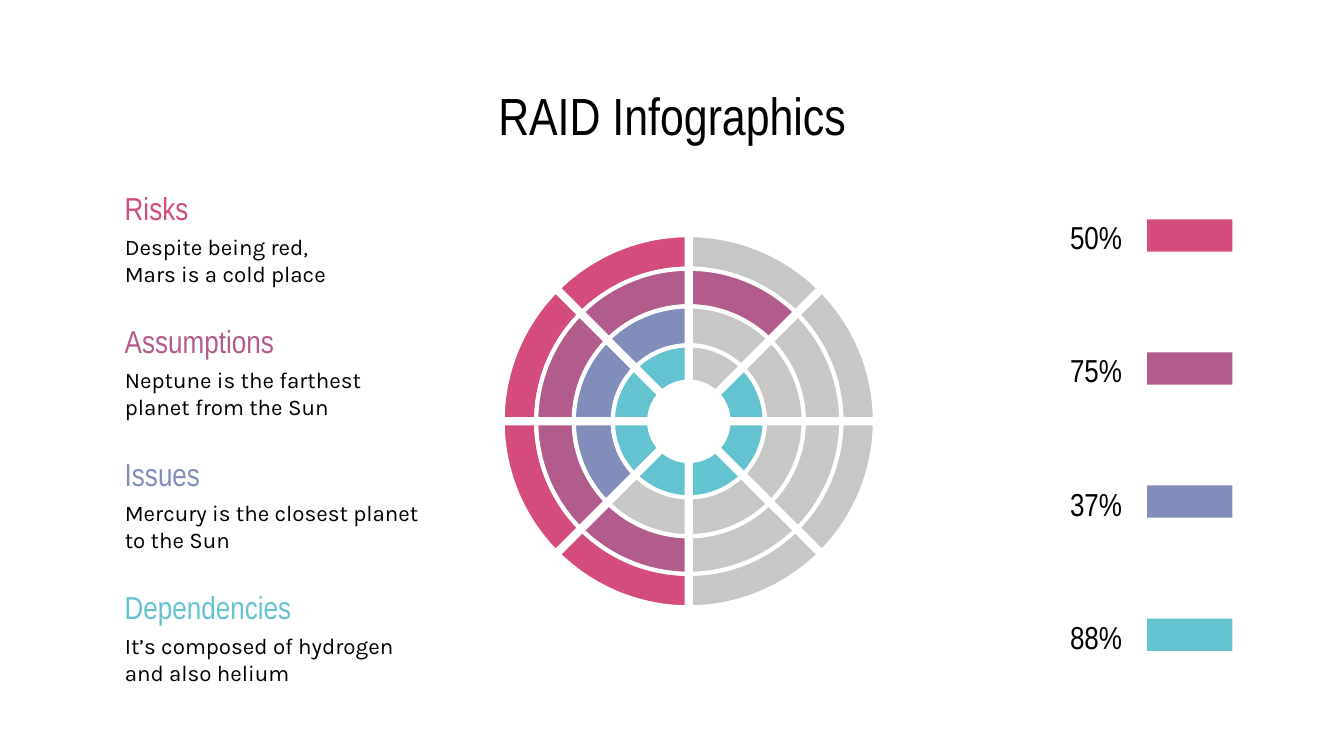
import math
import pptx
import pptx.util
import pptx.dml.color
import pptx.enum.text
import pptx.enum.shapes
import pptx.oxml
import pptx.oxml.ns

CELL = pptx.util.Inches(0.1)
COLS, ROWS = 100, 56.25
STEP = 9.9
INK = {"black": "000000", "white": "FFFFFF", "grey": "C7C7C7", "red": "D44B7D",
       "plum": "B25C8D", "blue": "818DBA", "teal": "63C3D0"}
HEAD, BODY = "Arial Narrow", "Karla"
ITEMS = [
    ("Risks", "Despite being red,\vMars is a cold place", "50%", "red"),
    ("Assumptions", "Neptune is the farthest planet from the Sun", "75%", "plum"),
    ("Issues", "Mercury is the closest planet to the Sun", "37%", "blue"),
    ("Dependencies", "It’s composed of hydrogen and also helium", "88%", "teal"),
]
RINGS = [
    (13.85, 11.35, "red", {4, 5, 6, 7}),
    (11.35, 8.55, "plum", {4, 5, 6, 7, 0}),
    (8.55, 5.65, "blue", {5, 6, 7}),
    (5.65, 2.95, "teal", {1, 2, 3, 4, 5, 6, 7}),
]
SPAN = 13.85
GAP = 0.15


def tint(name):
    return pptx.dml.color.RGBColor.from_string(INK[name])


def part(box, x, y, w, h):
    left, top, wide, high = box
    return left + x * wide, top + y * high, w * wide, h * high


def emu(box):
    return [round(n * CELL) for n in box]


def style(shape, text, size, face, ink, align):
    frame = shape.text_frame
    frame.text = text
    frame.word_wrap = True
    frame.auto_size = pptx.enum.text.MSO_AUTO_SIZE.NONE
    frame.vertical_anchor = pptx.enum.text.MSO_ANCHOR.MIDDLE
    frame.margin_left = frame.margin_right = CELL
    frame.margin_top = frame.margin_bottom = CELL
    para = frame.paragraphs[0]
    para.alignment = align
    for run in para.runs:
        run.font.size = pptx.util.Pt(size)
        run.font.name = face
        run.font.color.rgb = tint(ink)


def label(slide, box, text, size, face, ink, align=pptx.enum.text.PP_ALIGN.LEFT):
    style(slide.shapes.add_textbox(*emu(box)), text, size, face, ink, align)


def title(slide, box):
    shape = slide.shapes.title
    shape.left, shape.top, shape.width, shape.height = emu(box)
    style(shape, "RAID Infographics", 28, HEAD, "black", pptx.enum.text.PP_ALIGN.CENTER)


def note(slide, box, head, body, ink):
    label(slide, part(box, 0, 0, 0.88, 0.41), head, 17, HEAD, ink)
    label(slide, part(box, 0, 0.45, 1, 0.55), body, 12, BODY, "black")


def paint(shape, ink):
    shape.shadow.inherit = False
    shape.fill.solid()
    shape.fill.fore_color.rgb = tint(ink)


def gauge(slide, box, value, ink):
    bar = slide.shapes.add_shape(pptx.enum.shapes.MSO_SHAPE.RECTANGLE,
                                 *emu(part(box, 0.54, 0.23, 0.46, 0.49)))
    paint(bar, ink)
    bar.line.fill.background()
    label(slide, part(box, 0, 0, 0.53, 1), value, 17, HEAD, "black",
          pptx.enum.text.PP_ALIGN.CENTER)


def curve(mid, rad, slot):
    trim = math.asin(GAP / rad)
    start = slot * math.pi / 4 + trim
    sweep = math.pi / 4 - 2 * trim
    pull = 4 / 3 * math.tan(sweep / 4)
    dots = []
    for turn, tug in ((start, 0), (start, pull), (start + sweep, -pull), (start + sweep, 0)):
        x = math.sin(turn) + tug * math.cos(turn)
        y = -math.cos(turn) + tug * math.sin(turn)
        dots.append((round((mid[0] + rad * x) * CELL), round((mid[1] + rad * y) * CELL)))
    return dots


def bend(shape):
    qn = pptx.oxml.ns.qn
    lines = list(shape.element.iter(qn("a:lnTo")))
    for trio in (lines[:3], lines[4:7]):
        cubic = pptx.oxml.parse_xml(
            "<a:cubicBezTo %s/>" % pptx.oxml.ns.nsdecls("a"))
        trio[0].addprevious(cubic)
        for line in trio:
            cubic.append(line.find(qn("a:pt")))
            line.getparent().remove(line)


def wedge(slide, mid, outer, inner, slot, ink):
    dots = curve(mid, outer, slot) + curve(mid, inner, slot)[::-1]
    pen = slide.shapes.build_freeform(*dots[0])
    pen.add_line_segments(dots[1:], close=True)
    shape = pen.convert_to_shape()
    bend(shape)
    paint(shape, ink)
    shape.line.color.rgb = tint("white")
    shape.line.width = pptx.util.Pt(2.25)


def wheel(slide, box):
    left, top, wide, high = box
    mid = left + wide / 2, top + high / 2
    scale = wide / (2 * SPAN)
    for outer, inner, ink, lit in RINGS:
        for slot in range(8):
            wedge(slide, mid, outer * scale, inner * scale, slot,
                  ink if slot in lit else "grey")


def main():
    deck = pptx.Presentation()
    deck.slide_width = round(COLS * CELL)
    deck.slide_height = round(ROWS * CELL)
    slide = deck.slides.add_slide(deck.slide_layouts[5])
    title(slide, (7.75, 5.9, 84.5, 5.3))
    wheel(slide, (37.4, 17.5, 27.7, 27.7))
    for row, (head, body, value, ink) in enumerate(ITEMS):
        note(slide, (8.3, 13.9 + row * STEP, 23.9, 7.5), head, body, ink)
        gauge(slide, (77.9, 15.2 + row * STEP, 13.8, 4.9), value, ink)
    deck.save("out.pptx")


if __name__ == "__main__":
    main()
